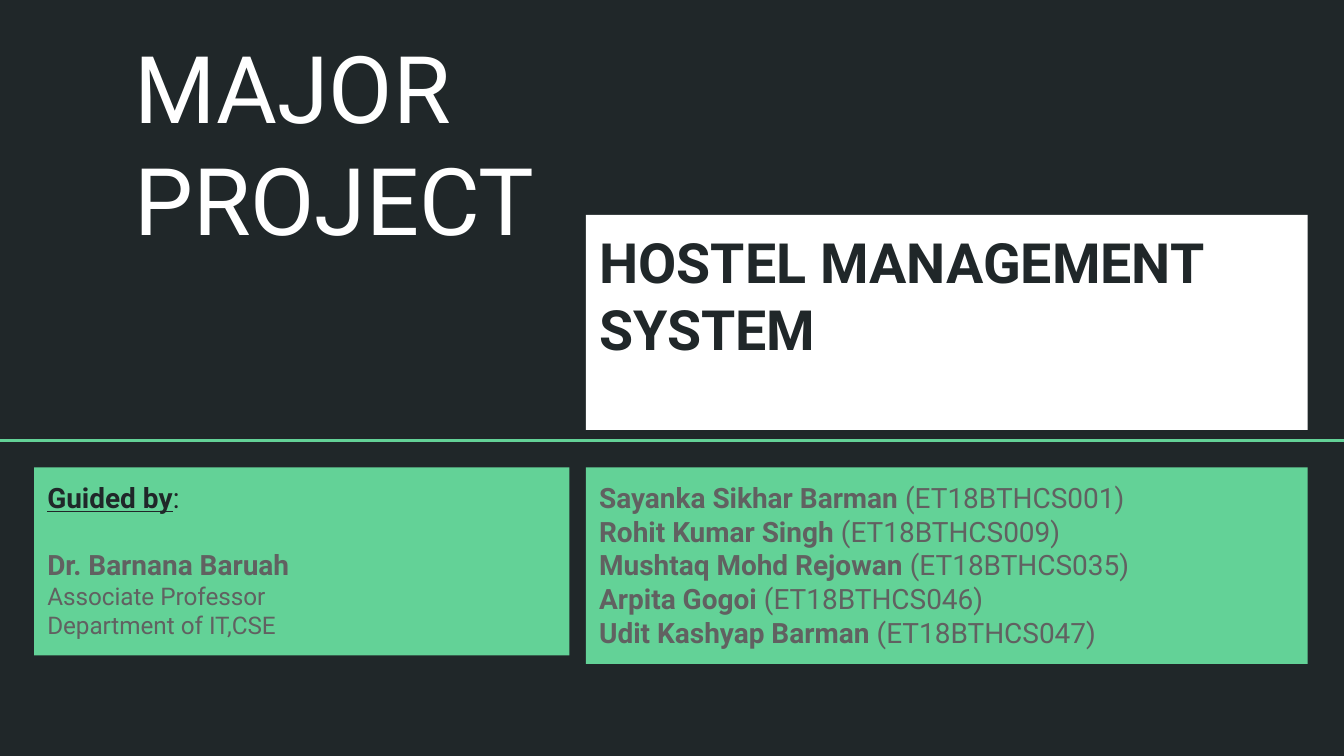
from dataclasses import dataclass

from pptx import Presentation
from pptx.dml.color import RGBColor as RGB
from pptx.enum.shapes import MSO_CONNECTOR as CONN, MSO_SHAPE as SHAPE
from pptx.enum.text import MSO_ANCHOR as ANCHOR, MSO_AUTO_SIZE as FIT, PP_ALIGN as ALIGN
from pptx.oxml.ns import qn
from pptx.util import Inches, Pt
from lxml.etree import SubElement

COLS, ROWS = 100, 56.25
CELL = Inches(0.1)
LEFT, MID, TOP, LOW = 2.53, 43.6, 16, 34.77
LEFT_W, RIGHT_W = 39.83, 53.7
TITLE_BOX = (9, 1.9, 46.5, 18)
RULE_BOX = (0, 32.8, COLS, 0)
TOPIC_BOX = (MID, TOP, RIGHT_W, 16)
GUIDE_BOX = (LEFT, LOW, LEFT_W, 14)
TEAM_BOX = (MID, LOW, RIGHT_W, 14.63)

TEAM = [
    ("Sayanka Sikhar Barman", "ET18BTHCS001"),
    ("Rohit Kumar Singh", "ET18BTHCS009"),
    ("Mushtaq Mohd Rejowan", "ET18BTHCS035"),
    ("Arpita Gogoi", "ET18BTHCS046"),
    ("Udit Kashyap Barman", "ET18BTHCS047"),
]


@dataclass(frozen=True)
class Theme:
    """Colours, font and type sizes of the slide."""
    dark: RGB = RGB(0x20, 0x27, 0x29)
    green: RGB = RGB(0x63, 0xD2, 0x97)
    grey: RGB = RGB(0x61, 0x61, 0x61)
    white: RGB = RGB(0xFF, 0xFF, 0xFF)
    font: str = "Roboto"
    title: float = 50
    topic: float = 29.7
    body: float = 15
    small: float = 13
    rule: float = 1.5


T = Theme()


def grid(box):
    """Turn a box in grid cells into slide lengths."""
    return [round(v * CELL) for v in box]


def add_run(p, text, size, color, bold=False, underline=None):
    """Append a formatted run to a paragraph."""
    r = p.add_run()
    r.text = text
    f = r.font
    f.name, f.size, f.bold, f.underline = T.font, Pt(size), bold, underline
    f.color.rgb = color


def set_frame(tf, anchor=ANCHOR.TOP):
    """Give a text frame wrapping, even insets and an anchor."""
    tf.auto_size = FIT.NONE
    tf.word_wrap = True
    tf.vertical_anchor = anchor
    tf.margin_left = tf.margin_right = tf.margin_top = tf.margin_bottom = CELL


def add_panel(slide, box, fill, lines):
    """Draw a filled panel with one paragraph for each list of runs."""
    sp = slide.shapes.add_shape(SHAPE.RECTANGLE, *grid(box))
    sp.shadow.inherit = False
    sp.fill.solid()
    sp.fill.fore_color.rgb = fill
    sp.line.fill.background()
    tf = sp.text_frame
    set_frame(tf)
    for i, runs in enumerate(lines):
        p = tf.paragraphs[0] if i == 0 else tf.add_paragraph()
        p.alignment = ALIGN.LEFT
        for run in runs:
            add_run(p, *run)
    return tf


def add_title(slide, box):
    """Place the slide title in its placeholder."""
    sp = slide.shapes.title
    sp.left, sp.top, sp.width, sp.height = grid(box)
    set_frame(sp.text_frame, ANCHOR.BOTTOM)
    p = sp.text_frame.paragraphs[0]
    p.alignment = ALIGN.LEFT
    add_run(p, "MAJOR PROJECT", T.title, T.white)


def add_rule(slide, box):
    """Draw the line across the slide."""
    x, y, w, h = grid(box)
    ln = slide.shapes.add_connector(CONN.STRAIGHT, x, y, x + w, y + h)
    ln.line.color.rgb = T.green
    ln.line.width = Pt(T.rule)
    SubElement(ln._element.spPr, qn("a:effectLst"))


def add_topic(slide, box):
    """Place the project name."""
    add_panel(slide, box, T.white,
              [[("HOSTEL MANAGEMENT SYSTEM", T.topic, T.dark, True)]])


def add_guide(slide, box):
    """Place the guide's name and post."""
    tf = add_panel(slide, box, T.green, [
        [("Guided by", T.body, T.dark, True, True), (":", T.body, T.dark)],
        [("Dr. Barnana Baruah", T.body, T.grey, True)],
        [("Associate Professor", T.small, T.grey)],
        [("Department of IT,CSE", T.small, T.grey)],
    ])
    tf.paragraphs[0].space_after = Pt(18)


def add_team(slide, box):
    """Place the team members with their roll numbers."""
    add_panel(slide, box, T.green, [
        [(f"{name} ", T.body, T.grey, True), (f"({roll})", T.body, T.grey)]
        for name, roll in TEAM
    ])


def main():
    """Build and save the slide."""
    prs = Presentation()
    prs.slide_width, prs.slide_height = grid((COLS, ROWS))
    slide = prs.slides.add_slide(prs.slide_layouts[5])
    bg = slide.background.fill
    bg.solid()
    bg.fore_color.rgb = T.dark
    add_rule(slide, RULE_BOX)
    add_guide(slide, GUIDE_BOX)
    add_title(slide, TITLE_BOX)
    add_topic(slide, TOPIC_BOX)
    add_team(slide, TEAM_BOX)
    prs.save("out.pptx")


if __name__ == "__main__":
    main()
